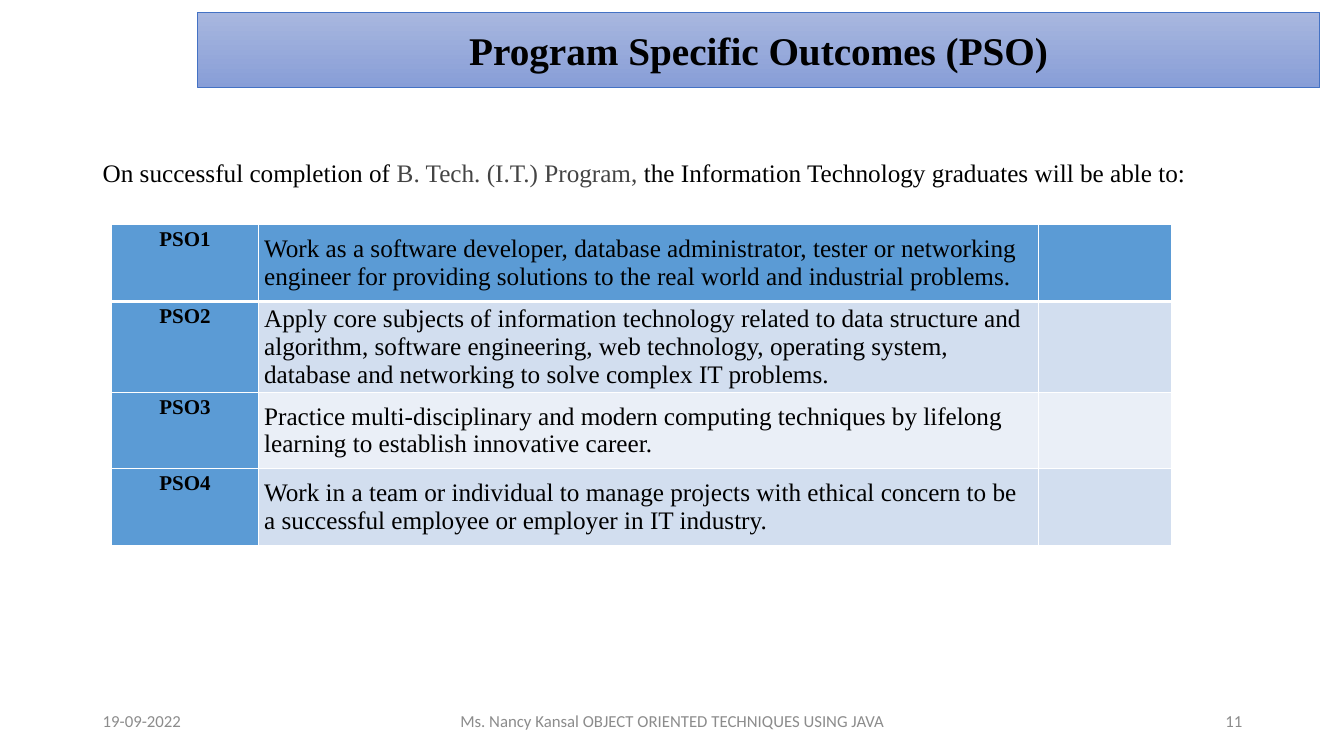
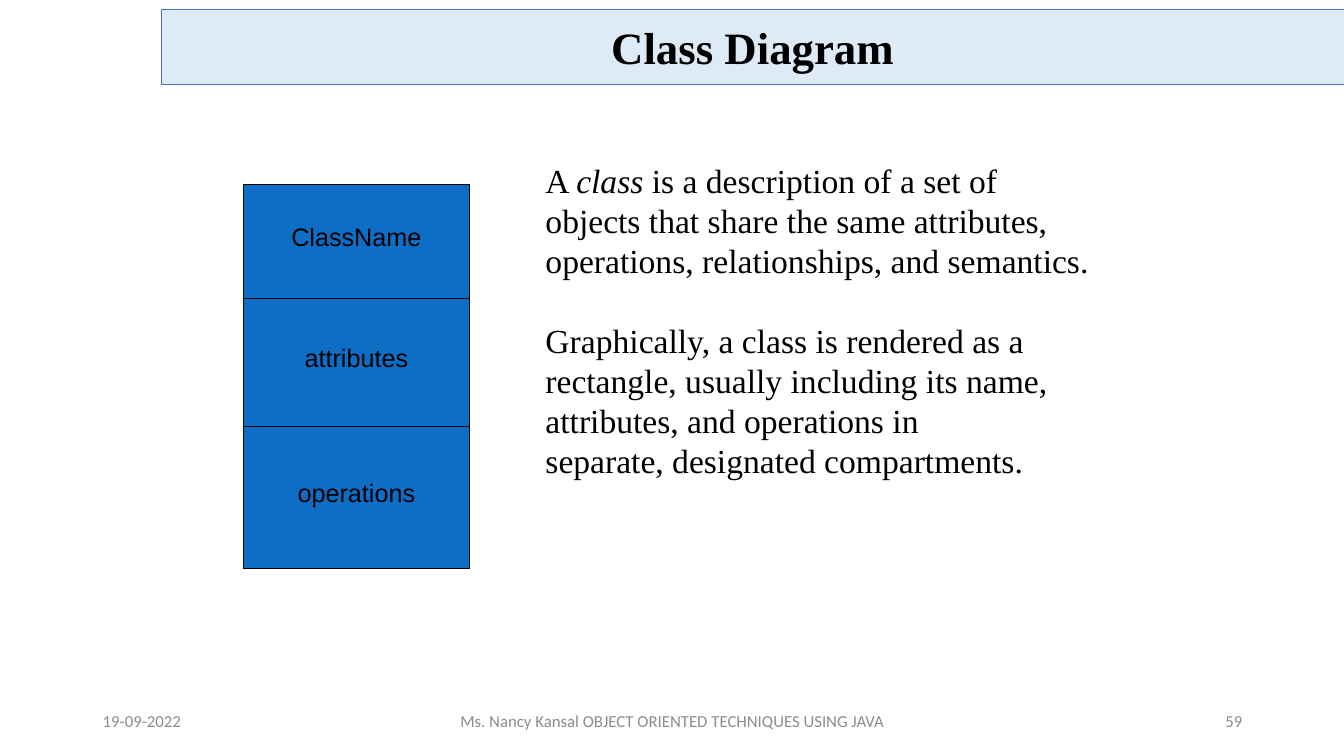
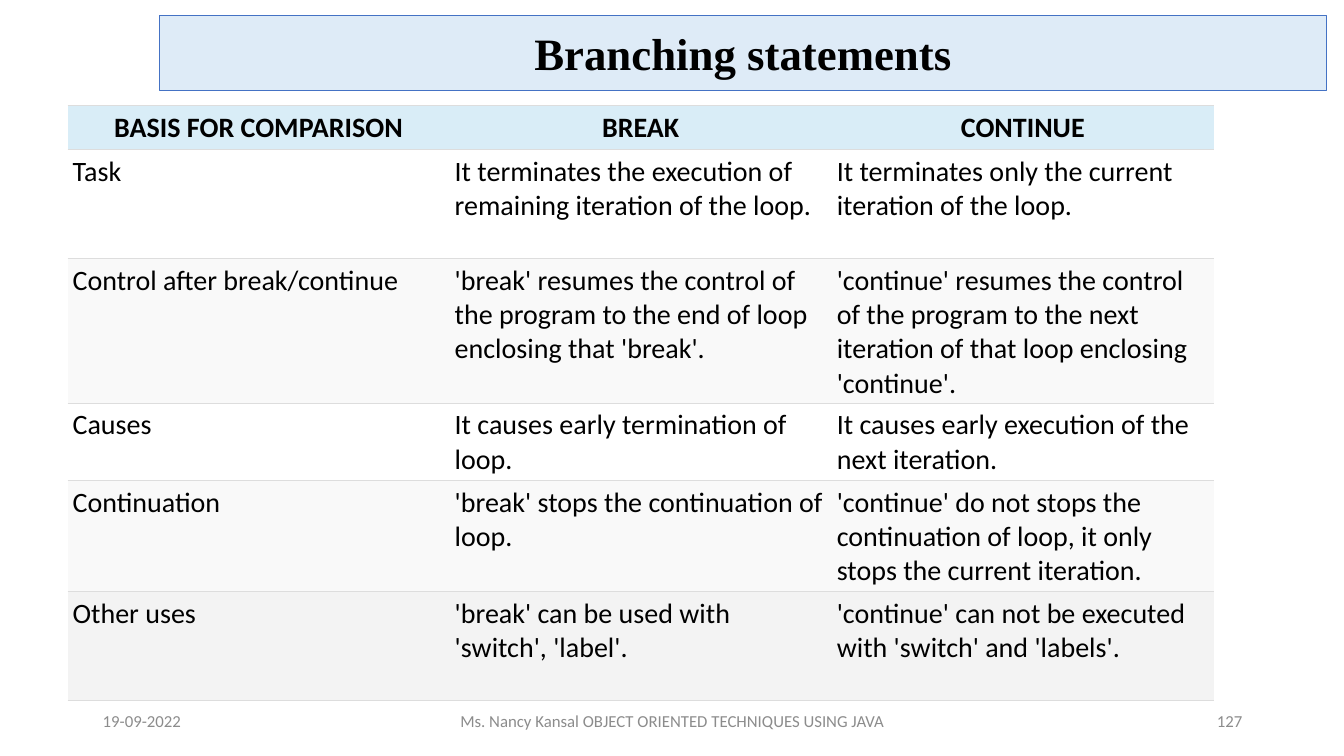
from lxml import etree
from pptx import Presentation
from pptx.dml.color import RGBColor
from pptx.enum.shapes import MSO_SHAPE
from pptx.enum.text import MSO_ANCHOR, PP_ALIGN
from pptx.oxml.ns import qn
from pptx.util import Inches, Pt

RECTANGLE = MSO_SHAPE.RECTANGLE
TOP, MIDDLE = MSO_ANCHOR.TOP, MSO_ANCHOR.MIDDLE
LEFT, CENTER, RIGHT = PP_ALIGN.LEFT, PP_ALIGN.CENTER, PP_ALIGN.RIGHT
JUSTIFY = PP_ALIGN.JUSTIFY

BLACK = RGBColor(0x00, 0x00, 0x00)
WHITE = RGBColor(0xFF, 0xFF, 0xFF)
FOOTER_GREY = RGBColor(0x8C, 0x8C, 0x8C)
PROGRAM_GREY = RGBColor(0x44, 0x44, 0x44)
BAND_LINE = RGBColor(0x44, 0x72, 0xC4)
BAND_FILL = RGBColor(0xDE, 0xEB, 0xF7)
BAND_TOP = RGBColor(0xA8, 0xB7, 0xDF)
BAND_BOTTOM = RGBColor(0x88, 0x9E, 0xD7)
PSO_BLUE = RGBColor(0x5B, 0x9B, 0xD5)
PSO_DARK = RGBColor(0xD2, 0xDE, 0xEF)
PSO_LIGHT = RGBColor(0xEA, 0xEF, 0xF7)
CLASS_BLUE = RGBColor(0x0E, 0x6E, 0xC6)
HEADER_BLUE = RGBColor(0xD9, 0xED, 0xF7)
STRIPE_GREY = RGBColor(0xF9, 0xF9, 0xF9)
LAST_GREY = RGBColor(0xF3, 0xF3, 0xF3)
RULE_GREY = RGBColor(0xDD, 0xDD, 0xDD)

SERIF, SANS, BODY = "Times New Roman", "Arial", "Calibri"
DATE = "19-09-2022"
COURSE = "Ms. Nancy Kansal OBJECT ORIENTED TECHNIQUES USING JAVA"

OUTCOMES = [
    "Work as a software developer, database administrator, tester or networking "
    "engineer for providing solutions to the real world and industrial problems.",
    "Apply core subjects of information technology related to data structure and "
    "algorithm, software engineering, web technology, operating system, database "
    "and networking to solve complex IT problems.",
    "Practice multi-disciplinary and modern computing techniques by lifelong "
    "learning to establish innovative career.",
    "Work in a team or individual to manage projects with ethical concern to be "
    "a successful employee or employer in IT industry.",
]
COMPARISON = [
    ("BASIS FOR COMPARISON", "BREAK", "CONTINUE"),
    ("Task",
     "It terminates the execution of remaining iteration of the loop.",
     "It terminates only the current iteration of the loop."),
    ("Control after break/continue",
     "'break' resumes the control of the program to the end of loop enclosing "
     "that 'break'.",
     "'continue' resumes the control of the program to the next iteration of "
     "that loop enclosing 'continue'."),
    ("Causes",
     "It causes early termination of loop.",
     "It causes early execution of the next iteration."),
    ("Continuation",
     "'break' stops the continuation of loop.",
     "'continue' do not stops the continuation of loop, it only stops the "
     "current iteration."),
    ("Other uses",
     "'break' can be used with 'switch', 'label'.",
     "'continue' can not be executed with 'switch' and 'labels'."),
]


def set_font(font, name, size, color=BLACK, bold=False):
    font.name, font.size, font.bold = name, Pt(size), bold
    font.color.rgb = color


def add_text(page, area, text, name, size, color=BLACK, align=LEFT, anchor=TOP):
    box = page.shapes.add_textbox(*map(Inches, area))
    frame = box.text_frame
    frame.word_wrap = True
    frame.vertical_anchor = anchor
    para = frame.paragraphs[0]
    para.text = text
    para.alignment = align
    set_font(para.font, name, size, color)
    return frame


def add_spans(para, *texts):
    return [add_span(para, text) for text in texts]


def add_span(para, text):
    span = para.add_run()
    span.text = text
    return span


def add_title(page, area, text, size):
    band = page.shapes.add_shape(RECTANGLE, *map(Inches, area))
    band.shadow.inherit = False
    band.fill.solid()
    band.fill.fore_color.rgb = BAND_FILL
    band.line.color.rgb = BAND_LINE
    band.line.width = Pt(0.5)
    frame = band.text_frame
    frame.vertical_anchor = MIDDLE
    para = frame.paragraphs[0]
    para.text = text
    para.alignment = CENTER
    set_font(para.font, SERIF, size, bold=True)
    return band


def add_footer(page, number):
    for left, width, text, align in (
        (0.92, 3, DATE, LEFT),
        (4.42, 4.5, COURSE, CENTER),
        (9.42, 3, str(number), RIGHT),
    ):
        add_text(page, (left, 6.95, width, 0.4), text, BODY, 12, FOOTER_GREY,
                 align, MIDDLE)


def add_grid(page, left, top, widths, heights):
    """Add a table without the banded style."""
    table = page.shapes.add_table(
        len(heights), len(widths), Inches(left), Inches(top),
        Inches(sum(widths)), Inches(sum(heights))).table
    table.first_row = table.horz_banding = False
    for column, width in zip(table.columns, widths):
        column.width = Inches(width)
    for row, height in zip(table.rows, heights):
        row.height = Inches(height)
    return table


def set_borders(cell, color, left=0, right=0, top=0, bottom=0):
    """Set border widths in points; zero means no line."""
    properties = cell._tc.get_or_add_tcPr()
    sides = (("a:lnL", left), ("a:lnR", right), ("a:lnT", top), ("a:lnB", bottom))
    for place, (tag, width) in enumerate(sides):
        line = etree.Element(qn(tag), w=str(Pt(width)))
        if width:
            fill = etree.SubElement(line, qn("a:solidFill"))
            etree.SubElement(fill, qn("a:srgbClr"), val=str(color))
        else:
            etree.SubElement(line, qn("a:noFill"))
        properties.insert(place, line)


def fill_cell(cell, fill, margins, text="", name=SERIF, size=18, bold=False,
              align=LEFT, anchor=TOP):
    """Style a cell; margins are left, top, right, bottom in inches."""
    cell.fill.solid()
    cell.fill.fore_color.rgb = fill
    (cell.margin_left, cell.margin_top,
     cell.margin_right, cell.margin_bottom) = map(Inches, margins)
    cell.vertical_anchor = anchor
    para = cell.text_frame.paragraphs[0]
    para.text = text
    para.alignment = align
    set_font(para.font, name, size, bold=bold)
    return para


def build_outcomes(page):
    band = add_title(page, (1.96, 0.12, 11.13, 0.75),
                     "Program Specific Outcomes (PSO)", 28)
    band.fill.gradient()
    band.fill.gradient_angle = 270
    for stop, color in zip(band.fill.gradient_stops, (BAND_TOP, BAND_BOTTOM)):
        stop.color.rgb = color

    frame = add_text(page, (0.92, 1.47, 12.18, 0.42), "", SERIF, 18, align=JUSTIFY)
    para = frame.paragraphs[0]
    para.line_spacing = 1.15
    spans = add_spans(para, "On successful completion of ",
                      "B. Tech. (I.T.) Program,",
                      " the Information Technology graduates will be able to:")
    for span, color in zip(spans, (BLACK, PROGRAM_GREY, BLACK)):
        set_font(span.font, SERIF, 18, color)

    table = add_grid(page, 1.11, 2.23, [1.45, 7.74, 1.32], [0.76] * len(OUTCOMES))
    margins = (0.06, 0, 0.06, 0)
    fills = (PSO_BLUE, PSO_DARK, PSO_LIGHT, PSO_DARK)
    for index, (outcome, fill) in enumerate(zip(OUTCOMES, fills)):
        label, detail, blank = table.rows[index].cells
        para = fill_cell(label, PSO_BLUE, margins, f"PSO{index + 1}", size=15,
                         bold=True, align=CENTER)
        para.line_spacing = 1.15
        para.space_after = Pt(10)
        fill_cell(detail, fill, margins, outcome, anchor=MIDDLE)
        fill_cell(blank, fill, margins)
        for cell in (label, detail, blank):
            set_borders(cell, WHITE, 1, 1, 3 if index == 1 else 1,
                        3 if index == 0 else 1)


def build_class_diagram(page):
    add_title(page, (1.6, 0.09, 11.73, 0.75), "Class Diagram", 32)
    table = add_grid(page, 2.41, 1.83, [2.25], [1.13, 1.27, 1.41])
    for row, part in zip(table.rows, ("ClassName", "attributes", "operations")):
        cell = row.cells[0]
        fill_cell(cell, CLASS_BLUE, (0, 0, 0, 0.08), part, SANS,
                  align=CENTER, anchor=MIDDLE)
        set_borders(cell, BLACK, 0.75, 0.75, 0.75, 0.75)

    frame = add_text(page, (5.41, 1.59, 5.45, 3.24), "", SERIF, 24)
    frame.margin_left = frame.margin_right = 0
    frame.margin_top = frame.margin_bottom = 0
    definition, drawing = frame.paragraphs[0], frame.add_paragraph()
    spans = add_spans(
        definition, "A ", "class",
        " is a description of a set of objects that share the same attributes, "
        "operations, relationships, and semantics.")
    spans[1].font.italic = True
    drawing.text = ("Graphically, a class is rendered as a rectangle, usually "
                    "including its name, attributes, and operations in\v"
                    "separate, designated compartments.")
    drawing.space_before = Pt(29)
    for para in frame.paragraphs:
        para.line_spacing = Pt(28.5)
        set_font(para.font, SERIF, 24)


def build_branching(page):
    add_title(page, (1.58, 0.15, 11.58, 0.75), "Branching statements", 32)
    table = add_grid(page, 0.67, 1.05, [3.79] * 3,
                     [0.42, 1.08, 1.41, 0.75, 1.08, 1.08])
    fills = (HEADER_BLUE, WHITE, STRIPE_GREY, WHITE, STRIPE_GREY, LAST_GREY)
    for index, (texts, fill) in enumerate(zip(COMPARISON, fills)):
        header = index == 0
        for cell, text in zip(table.rows[index].cells, texts):
            fill_cell(cell, fill, [0.05] * 4, text, BODY, 20, header,
                      CENTER if header else LEFT, MIDDLE if header else TOP)
            set_borders(cell, RULE_GREY, top=0.75, bottom=0.75)


def main():
    deck = Presentation()
    deck.slide_width, deck.slide_height = Inches(13.33), Inches(7.5)
    for build, number in ((build_outcomes, 11), (build_class_diagram, 59),
                          (build_branching, 127)):
        page = deck.slides.add_slide(deck.slide_layouts[6])
        build(page)
        add_footer(page, number)
    deck.save("out.pptx")


if __name__ == "__main__":
    main()
